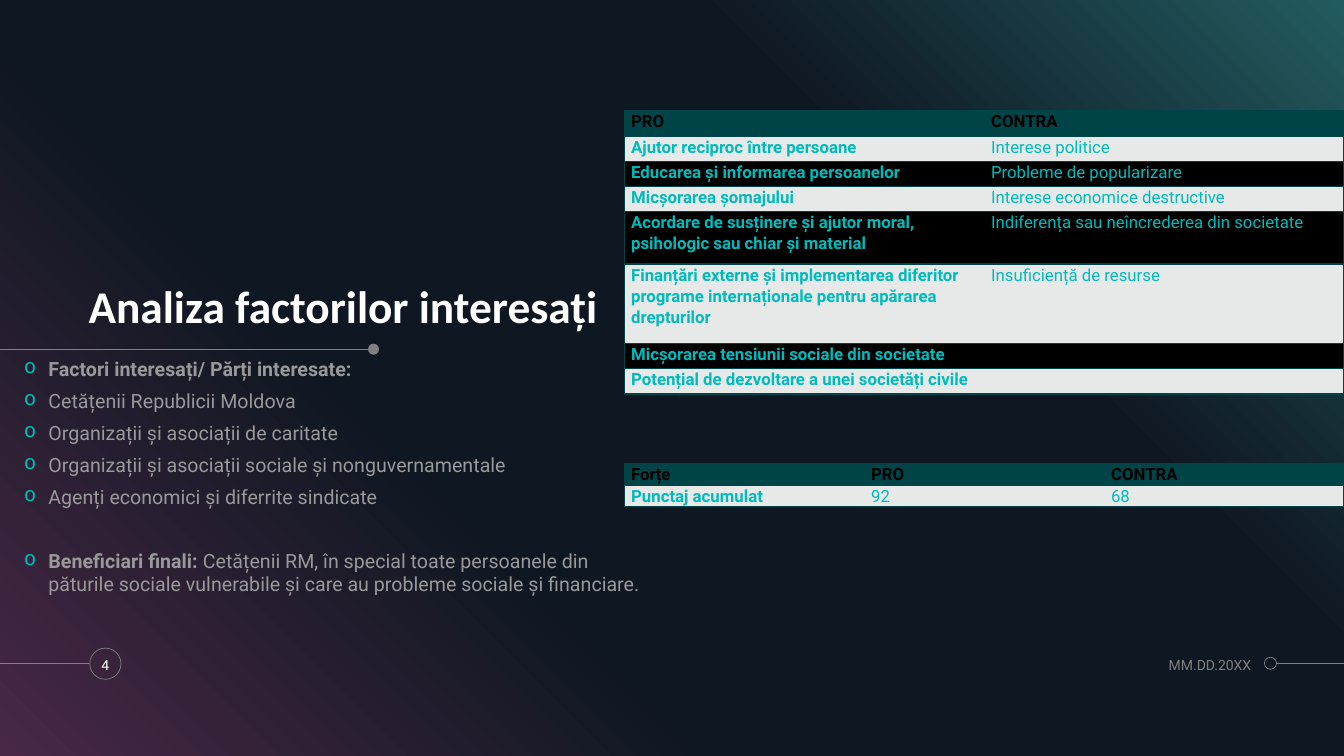
from lxml import etree
from pptx import Presentation
from pptx.dml.color import RGBColor
from pptx.enum.shapes import MSO_CONNECTOR, MSO_SHAPE
from pptx.enum.text import MSO_ANCHOR, PP_ALIGN
from pptx.oxml import parse_xml
from pptx.oxml.ns import nsdecls, qn
from pptx.util import Inches, Pt

STRAIGHT = MSO_CONNECTOR.STRAIGHT
RECTANGLE, OVAL = MSO_SHAPE.RECTANGLE, MSO_SHAPE.OVAL
TOP, MIDDLE, BOTTOM = MSO_ANCHOR.TOP, MSO_ANCHOR.MIDDLE, MSO_ANCHOR.BOTTOM
LEFT, CENTER, RIGHT = PP_ALIGN.LEFT, PP_ALIGN.CENTER, PP_ALIGN.RIGHT

BLACK = RGBColor(0x00, 0x00, 0x00)
WHITE = RGBColor(0xFF, 0xFF, 0xFF)
GRAY = RGBColor(0x80, 0x80, 0x80)
BODY_GRAY = RGBColor(0x99, 0x99, 0x99)
TURQUOISE = RGBColor(0x00, 0xBB, 0xBB)
DARK_TEAL = RGBColor(0x00, 0x44, 0x48)
PALE = RGBColor(0xE7, 0xE9, 0xE9)
PURPLE = RGBColor(0x48, 0x28, 0x45)
NAVY = RGBColor(0x0F, 0x17, 0x22)
TEAL = RGBColor(0x22, 0x5B, 0x5F)

BACKDROP_STOPS = [(0, PURPLE), (34, NAVY), (69, NAVY), (100, TEAL)]
NO_TABLE_STYLE = "{2D5ABB26-0587-4C30-8999-92F81FD0307C}"

STAKEHOLDERS = [
    ("Factori interesați/ Părți interesate:", "", 6),
    ("", "Cetățenii Republicii Moldova", 6),
    ("", "Organizații și asociații de caritate", 6),
    ("", "Organizații și asociații sociale și nonguvernamentale", 6),
    ("", "Agenți economici și diferrite sindicate", 6),
    ("Beneficiari finali:", " Cetățenii RM, în special toate persoanele din păturile "
     "sociale vulnerabile și care au probleme sociale și financiare.", 29),
]
FORCES = [
    ("PRO", "CONTRA"),
    ("Ajutor reciproc între persoane", "Interese politice"),
    ("Educarea și informarea persoanelor", "Probleme de popularizare"),
    ("Micșorarea șomajului", "Interese economice destructive"),
    ("Acordare de susținere și ajutor moral, psihologic sau chiar și material",
     "Indiferența sau neîncrederea din societate"),
    ("Finanțări externe și implementarea diferitor programe internaționale "
     "pentru apărarea drepturilor", "Insuficiență de resurse"),
    ("Micșorarea tensiunii sociale din societate", ""),
    ("Potențial de dezvoltare a unei societăți civile", ""),
]
FORCE_HEIGHTS = [0.25, 0.25, 0.25, 0.25, 0.52, 0.79, 0.25, 0.25]
SCORES = [("Forțe", "PRO", "CONTRA"), ("Punctaj acumulat", "92", "68")]
SCORE_HEIGHTS = [0.21, 0.21]


def style_run(run, size, color, bold=False, font="Roboto"):
    """Set the character format of a run."""
    run.font.size = Pt(size)
    run.font.color.rgb = color
    run.font.bold = bold
    run.font.name = font


def add_rule(slide, start, end):
    """Draw a thin gray line between two points."""
    rule = slide.shapes.add_connector(STRAIGHT, *map(Inches, start + end))
    rule.line.color.rgb = GRAY
    rule.line.width = Pt(0.5)
    etree.SubElement(rule._element.spPr, qn("a:effectLst"))


def add_circle(slide, left, top, size, filled=False):
    """Draw a gray dot or ring."""
    circle = slide.shapes.add_shape(OVAL, *map(Inches, (left, top, size, size)))
    circle.shadow.inherit = False
    if filled:
        circle.fill.solid()
        circle.fill.fore_color.rgb = GRAY
        circle.line.fill.background()
    else:
        circle.fill.background()
        circle.line.color.rgb = GRAY
        circle.line.width = Pt(0.5)


def add_frame(slide, box, anchor):
    """Add a wrapping text box without insets and return its text frame."""
    frame = slide.shapes.add_textbox(*map(Inches, box)).text_frame
    frame.word_wrap = True
    frame.vertical_anchor = anchor
    frame.margin_left = frame.margin_right = frame.margin_top = frame.margin_bottom = 0
    return frame


def add_label(slide, box, text, size, color, anchor=MIDDLE, align=LEFT, bold=False, font="Roboto"):
    """Add a one-paragraph label."""
    frame = add_frame(slide, box, anchor)
    frame.text = text
    paragraph = frame.paragraphs[0]
    paragraph.alignment = align
    style_run(paragraph.runs[0], size, color, bold, font)
    return paragraph


def add_backdrop(slide, width, height):
    """Cover the slide with the diagonal gradient."""
    backdrop = slide.shapes.add_shape(RECTANGLE, 0, 0, width, height)
    backdrop.shadow.inherit = False
    backdrop.line.fill.background()
    backdrop.fill.gradient()
    backdrop.fill.gradient_angle = 45
    stops = backdrop._element.spPr.find(qn("a:gradFill")).find(qn("a:gsLst"))
    for stop in list(stops):
        stops.remove(stop)
    for position, color in BACKDROP_STOPS:
        stops.append(parse_xml(f'<a:gs {nsdecls("a")} pos="{position * 1000}">'
                               f'<a:srgbClr val="{color}"/></a:gs>'))


def add_heading(slide, left, top, width, height):
    """Place the title with the dotted rule below it."""
    rule_y = top + height + 0.16
    add_rule(slide, (0, rule_y), (3.7, rule_y))
    add_circle(slide, 3.65, rule_y - 0.06, 0.11, filled=True)
    title = add_label(slide, (left, top, width, height), "Analiza factorilor interesați",
                      32.4, WHITE, BOTTOM, bold=True, font="Calibri")
    title.line_spacing = 0.9


def add_stakeholders(slide, box):
    """Place the bulleted list of stakeholders."""
    frame = add_frame(slide, box, TOP)
    for index, (lead, detail, gap) in enumerate(STAKEHOLDERS):
        paragraph = frame.add_paragraph() if index else frame.paragraphs[0]
        paragraph.space_before = Pt(gap)
        for text, bold in ((lead, True), (detail, False)):
            if text:
                run = paragraph.add_run()
                run.text = text
                style_run(run, 14, BODY_GRAY, bold)
        properties = paragraph._p.get_or_add_pPr()
        properties.set("marL", str(Inches(0.24)))
        properties.set("indent", str(-Inches(0.24)))
        bullet_color = etree.SubElement(properties, qn("a:buClr"))
        etree.SubElement(bullet_color, qn("a:srgbClr"), val=str(TURQUOISE))
        etree.SubElement(properties, qn("a:buChar"), char="o")


def add_footer(slide, top, width):
    """Place the slide number and the date with their rings and rules."""
    middle = top + 0.15
    add_circle(slide, 0.89, top, 0.31)
    add_rule(slide, (0, middle), (0.88, middle))
    add_circle(slide, 12.54, middle - 0.06, 0.12)
    add_rule(slide, (12.66, middle), (width, middle))
    add_label(slide, (0.85, top, 0.39, 0.33), "4", 10, WHITE, align=CENTER)
    add_label(slide, (10.95, top, 1.46, 0.33), "MM.DD.20XX", 10, GRAY, align=RIGHT)


def style_cell(cell, text, fill, color, bold, edges):
    """Fill, border and write one table cell."""
    cell.margin_left = cell.margin_right = Inches(0.07)
    cell.margin_top = cell.margin_bottom = 0
    properties = cell._tc.get_or_add_tcPr()
    for edge in edges:
        properties.append(parse_xml(
            f'<a:ln{edge} {nsdecls("a")} w="{Pt(1)}"><a:solidFill>'
            f'<a:srgbClr val="{DARK_TEAL}"/></a:solidFill></a:ln{edge}>'))
    cell.fill.solid()
    cell.fill.fore_color.rgb = fill
    cell.text_frame.text = text
    paragraph = cell.text_frame.paragraphs[0]
    paragraph.line_spacing = 1.07
    for run in paragraph.runs:
        style_run(run, 12, color, bold)
    if not text:
        etree.SubElement(paragraph._p, qn("a:endParaRPr"), sz="1200")


def add_banded_table(slide, left, top, width, rows, heights):
    """Place a table with a teal header and alternating bands."""
    columns = len(rows[0])
    table = slide.shapes.add_table(
        len(rows), columns, *map(Inches, (left, top, width, sum(heights)))).table
    table._tbl.tblPr.find(qn("a:tableStyleId")).text = NO_TABLE_STYLE
    for column in table.columns:
        column.width = Inches(width / columns)
    for r, (texts, height) in enumerate(zip(rows, heights)):
        table.rows[r].height = Inches(height)
        fill = DARK_TEAL if r == 0 else PALE if r % 2 else BLACK
        for c, text in enumerate(texts):
            edges = ("L" if c == 0 else "") + ("R" if c == columns - 1 else "") + "TB"
            style_cell(table.cell(r, c), text, fill, TURQUOISE if r else BLACK,
                       r == 0 or c == 0, edges)


def main():
    """Build and save the slide."""
    deck = Presentation()
    deck.slide_width, deck.slide_height = Inches(13.33), Inches(7.5)
    slide = deck.slides.add_slide(deck.slide_layouts[6])
    add_backdrop(slide, deck.slide_width, deck.slide_height)
    add_heading(slide, 0.88, 2.43, 5.49, 0.88)
    add_stakeholders(slide, (0.24, 3.54, 6.13, 3.05))
    add_footer(slide, 6.43, 13.33)
    add_banded_table(slide, 6.19, 1.1, 7.14, FORCES, FORCE_HEIGHTS)
    add_banded_table(slide, 6.19, 4.6, 7.14, SCORES, SCORE_HEIGHTS)
    deck.save("out.pptx")


if __name__ == "__main__":
    main()
